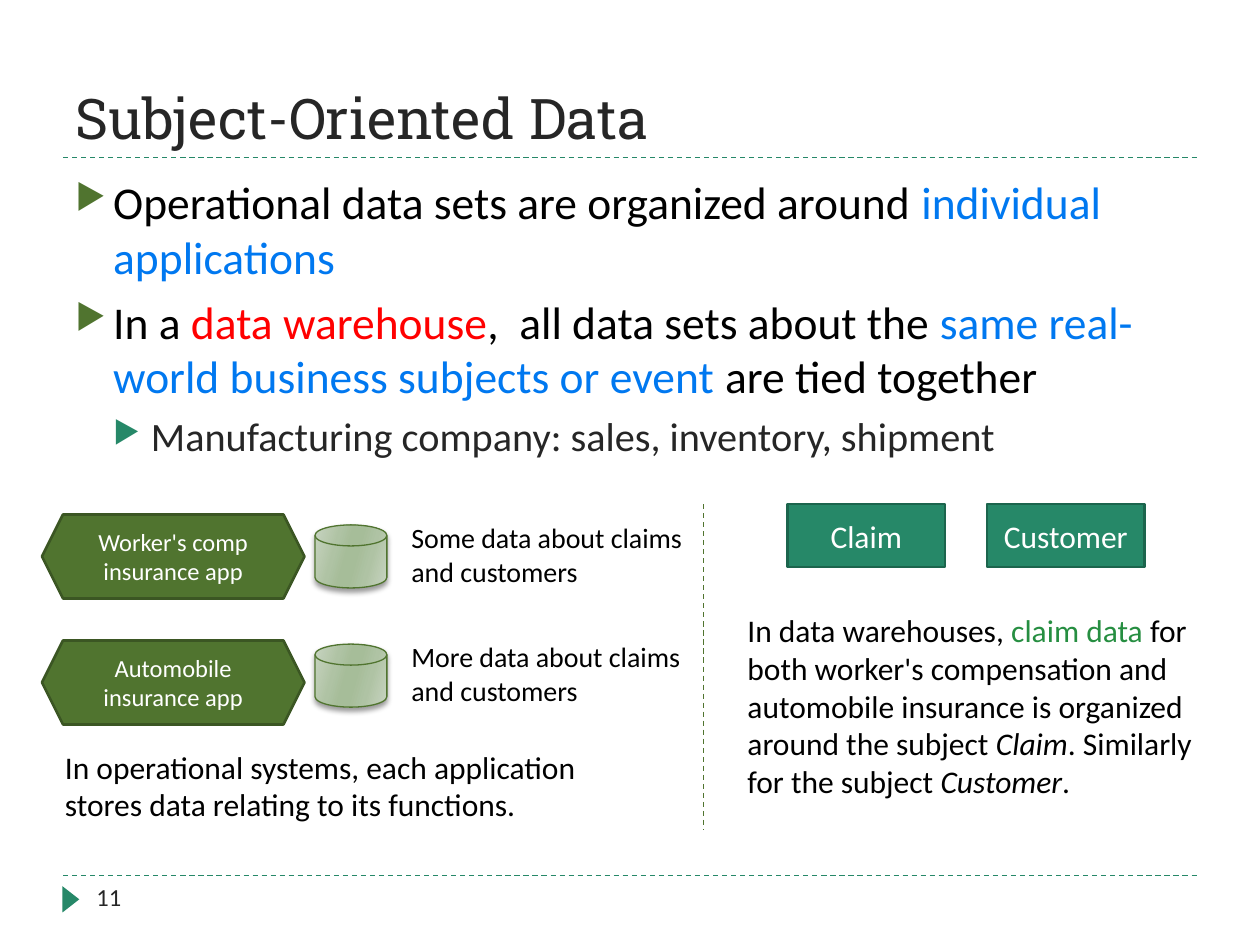
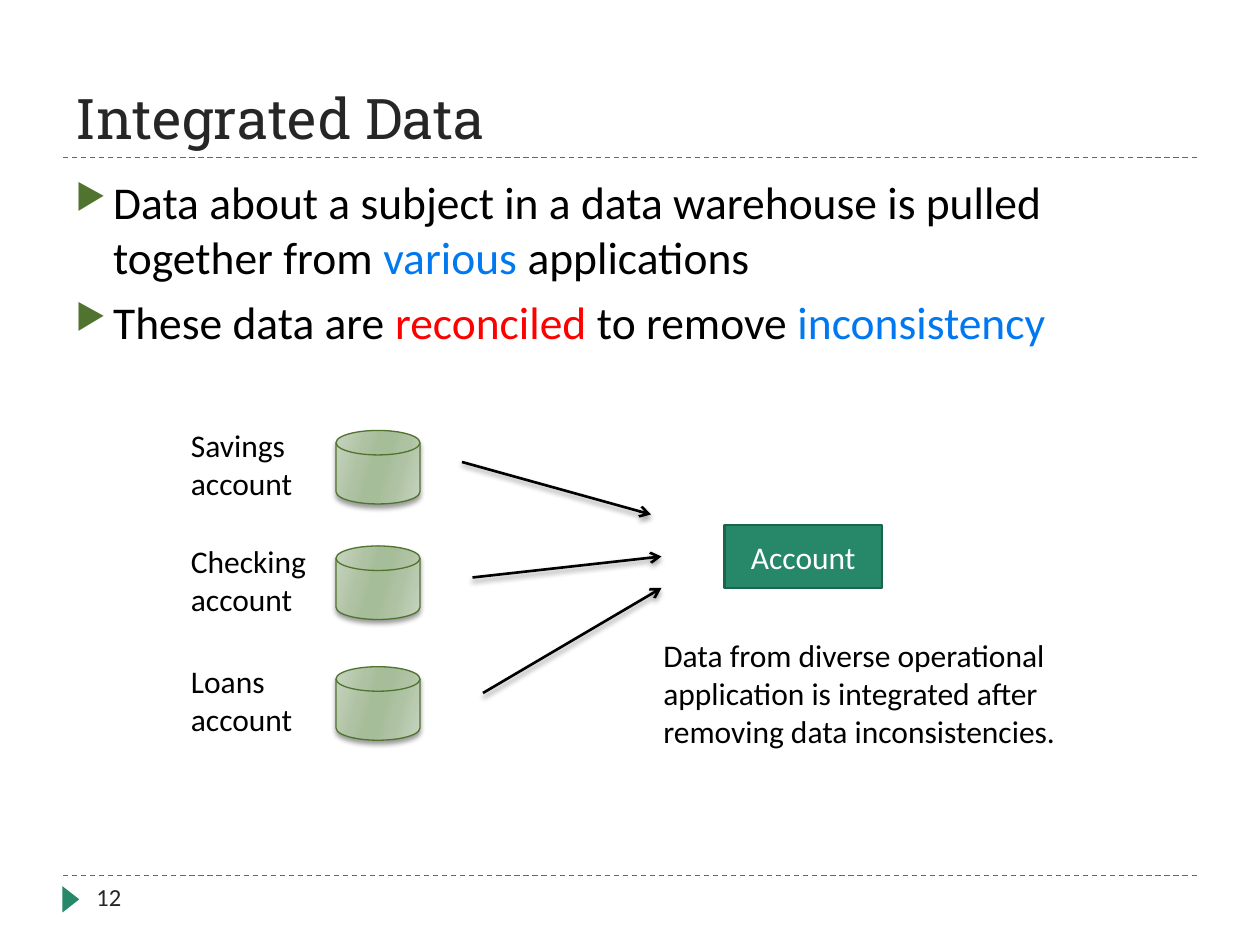
from lxml import etree
from pptx import Presentation
from pptx.dml.color import RGBColor
from pptx.enum.dml import MSO_LINE
from pptx.enum.shapes import MSO_CONNECTOR, MSO_SHAPE as Kind
from pptx.enum.text import MSO_ANCHOR as Anchor, MSO_AUTO_SIZE as Fit, PP_ALIGN as Align
from pptx.oxml import parse_xml
from pptx.oxml.ns import nsdecls, qn
from pptx.util import Inches, Pt

COLS, ROWS = 120, 90  # the grid: twelve cells to the inch
WIDE, HIGH = Inches(10), Inches(7.5)
BLACK, WHITE, INK = "000000", "FFFFFF", "262626"
TEAL, GREEN, BLUE, RED, LEAF = "268868", "50742F", "0078F0", "FF0000", "268E41"
TEAL_EDGE, GREEN_EDGE = "1C654D", "3B5623"
SHEEN = [(0, "C8D4C1"), (30, "AFC3A4"), (45, "A6BD99"),
         (55, "A6BD99"), (73, "AFC3A4"), (100, "C8D4C1")]
LEVELS = [dict(size=26, color=BLACK, mark=GREEN, gap=6),
          dict(size=23, color=INK, mark=TEAL, gap=5)]


def hue(code):
    return RGBColor.from_string(code)


def place(*cells):
    """Turn column, row pairs of the grid into slide lengths."""
    units = (WIDE / COLS, HIGH / ROWS)
    return [round(cell * units[i % 2]) for i, cell in enumerate(cells)]


def write(para, runs, font="Calibri", size=18, color=BLACK, align=Align.LEFT):
    """Fill a paragraph with runs: plain strings or (string, own format) pairs."""
    para.alignment = align
    for part in [runs] if isinstance(runs, str) else runs:
        words, own = (part, {}) if isinstance(part, str) else part
        run = para.add_run()
        run.text = words
        run.font.name, run.font.size = font, Pt(size)
        run.font.color.rgb = hue(own.get("color", color))
        run.font.italic = own.get("italic", False)


def add_text(slide, box, runs, **style):
    frame = slide.shapes.add_textbox(*place(*box)).text_frame
    frame.word_wrap = True
    write(frame.paragraphs[0], runs, **style)


def add_bullets(slide, box, items):
    """Write (level, runs) items as a bulleted list."""
    frame = slide.shapes.add_textbox(*place(*box)).text_frame
    frame.word_wrap = True
    for i, (level, runs) in enumerate(items):
        look = LEVELS[level]
        para = frame.add_paragraph() if i else frame.paragraphs[0]
        props = para._p.get_or_add_pPr()
        props.set("marL", str(Inches(0.3 * (level + 1))))
        props.set("indent", str(Inches(-0.3)))
        if i:
            para.space_before = Pt(look["gap"])
        color = etree.SubElement(props, qn("a:buClr"))
        etree.SubElement(color, qn("a:srgbClr"), val=look["mark"])
        etree.SubElement(props, qn("a:buSzPct"), val="76000")
        etree.SubElement(props, qn("a:buChar"), char="▶")
        write(para, runs, size=look["size"], color=look["color"])


def add_shade(props):
    """Give shape properties a soft shadow straight below."""
    effect = props.find(qn("a:effectLst"))
    effect.append(parse_xml(
        f'<a:outerShdw {nsdecls("a")} blurRad="{Pt(3)}" dist="{Pt(2)}" dir="5400000" '
        'rotWithShape="0"><a:srgbClr val="000000"><a:alpha val="40000"/></a:srgbClr>'
        '</a:outerShdw>'))


def add_line(slide, start, end, color, width=0.75, dash=False, arrow=False):
    line = slide.shapes.add_connector(MSO_CONNECTOR.STRAIGHT, *place(*start, *end))
    line.line.color.rgb = hue(color)
    line.line.width = Pt(width)
    if dash:
        line.line.dash_style = MSO_LINE.DASH
    props = line._element.spPr
    etree.SubElement(props, qn("a:effectLst"))
    if arrow:
        etree.SubElement(props.find(qn("a:ln")), qn("a:tailEnd"), type="arrow")
        add_shade(props)


def add_shape(slide, kind, box, fill=None, edge=None, width=1.5, label="", size=18):
    shape = slide.shapes.add_shape(kind, *place(*box))
    shape.shadow.inherit = False
    if fill:
        shape.fill.solid()
        shape.fill.fore_color.rgb = hue(fill)
    if edge:
        shape.line.color.rgb = hue(edge)
        shape.line.width = Pt(width)
    else:
        shape.line.fill.background()
    if label:
        frame = shape.text_frame
        frame.word_wrap, frame.vertical_anchor = True, Anchor.MIDDLE
        write(frame.paragraphs[0], label, size=size, color=WHITE, align=Align.CENTER)
    return shape


def add_disk(slide, box):
    disk = add_shape(slide, Kind.FLOWCHART_MAGNETIC_DISK, box, edge=GREEN, width=0.75)
    disk.fill.gradient()
    disk.fill.gradient_angle = 344
    props = disk._element.spPr
    stops = props.find(qn("a:gradFill")).find(qn("a:gsLst"))
    for stop in list(stops):
        stops.remove(stop)
    for share, color in SHEEN:
        stop = etree.SubElement(stops, qn("a:gs"), pos=str(share * 1000))
        etree.SubElement(stop, qn("a:srgbClr"), val=color)
    add_shade(props)


def add_subject(slide, left, top, label):
    add_shape(slide, Kind.RECTANGLE, (left, top, 15, 6), TEAL, TEAL_EDGE, label=label)


def add_page(deck, title, number):
    """Start a slide with its title, rules and page number."""
    slide = deck.slides.add_slide(deck.slide_layouts[5])
    for row in (83.4, 15):
        add_line(slide, (6, row), (114, row), TEAL, dash=True)
    add_shape(slide, Kind.ISOSCELES_TRIANGLE, (5.5, 84.85, 2.5, 1.6), TEAL).rotation = 90
    head = slide.shapes.title
    head.left, head.top, head.width, head.height = place(6, 2, 108, 13)
    frame = head.text_frame
    frame.auto_size, frame.word_wrap = Fit.NONE, True
    frame.vertical_anchor = Anchor.BOTTOM
    write(frame.paragraphs[0], title, font="Roboto Slab", size=32, color=INK)
    add_text(slide, (8, 83.4, 26, 4.8), str(number), size=14, color=INK)
    return slide


def draw_apps(slide, left, top):
    """Draw each application with its own store, and the remark below."""
    apps = [("Worker's comp insurance app", "Some data about claims and customers", 0, 0),
            ("Automobile insurance app", "More data about claims and customers", 12, 11.35)]
    for name, note, drop, shift in apps:
        add_shape(slide, Kind.HEXAGON, (left, top + drop, 25, 8),
                  GREEN, GREEN_EDGE, label=name, size=14)
        add_disk(slide, (left + 26, top + 1 + shift, 6.85, 6))
        add_text(slide, (left + 34, top + shift, 30, 7.7), note, size=16)
    add_text(slide, (left + 1, top + 21.6, 51, 8.5),
             "In operational systems, each application stores data relating to its functions.")


def draw_subjects(slide, left, top):
    """Draw the subject boxes and their remark, right of a dashed divider."""
    add_line(slide, (left, top), (left, top + 31), GREEN, dash=True)
    for i, name in enumerate(["Claim", "Customer"]):
        add_subject(slide, left + 8 + 19 * i, top, name)
    add_text(slide, (left + 3, top + 9.6, 45, 19.4), [
        "In data warehouses, ", ("claim data ", dict(color=LEAF)),
        "for both worker's compensation and automobile insurance is organized "
        "around the subject ", ("Claim", dict(italic=True)),
        ". Similarly for the subject ", ("Customer", dict(italic=True)), "."])


def draw_accounts(slide, left, top):
    """Draw the account stores, with an arrow from each to their shared subject."""
    accounts = [("Savings", 0, (27, 4), (45, 9)),
                ("Checking", 11, (28, 15), (46, 13)),
                ("Loans", 22.5, (29, 26), (46, 16))]
    for name, drop, start, end in accounts:
        add_text(slide, (left, top + drop, 14, 8.5), f"{name} account")
        add_disk(slide, (left + 15, top + 1 + drop, 8, 7))
        ends = [(left + col, top + row) for col, row in (start, end)]
        add_line(slide, *ends, BLACK, 1.5, arrow=True)
    add_subject(slide, left + 52, top + 10, "Account")
    add_text(slide, (left + 45, top + 20, 47, 12.1),
             "Data from diverse operational application is integrated after "
             "removing data inconsistencies.")


def main():
    deck = Presentation()
    deck.slide_width, deck.slide_height = WIDE, HIGH
    blue, red = dict(color=BLUE), dict(color=RED)

    slide = add_page(deck, "Subject-Oriented Data", 11)
    add_bullets(slide, (6, 16, 108, 31), [
        (0, ["Operational data sets are organized around ",
             ("individual applications", blue)]),
        (0, ["In a ", ("data warehouse", red), ",  all data sets about the ",
             ("same real-world business subjects or event ", blue),
             "are tied together"]),
        (1, "Manufacturing company: sales, inventory, shipment")])
    draw_apps(slide, 4, 49)
    draw_subjects(slide, 67, 48)

    slide = add_page(deck, "Integrated Data", 12)
    add_bullets(slide, (6, 16, 108, 23), [
        (0, ["Data about a subject in a data warehouse is pulled together from ",
             ("various", blue), " applications"]),
        (0, ["These data are ", ("reconciled", red), " to remove ",
             ("inconsistency", blue)])])
    draw_accounts(slide, 17, 40)

    deck.save("out.pptx")


if __name__ == "__main__":
    main()
